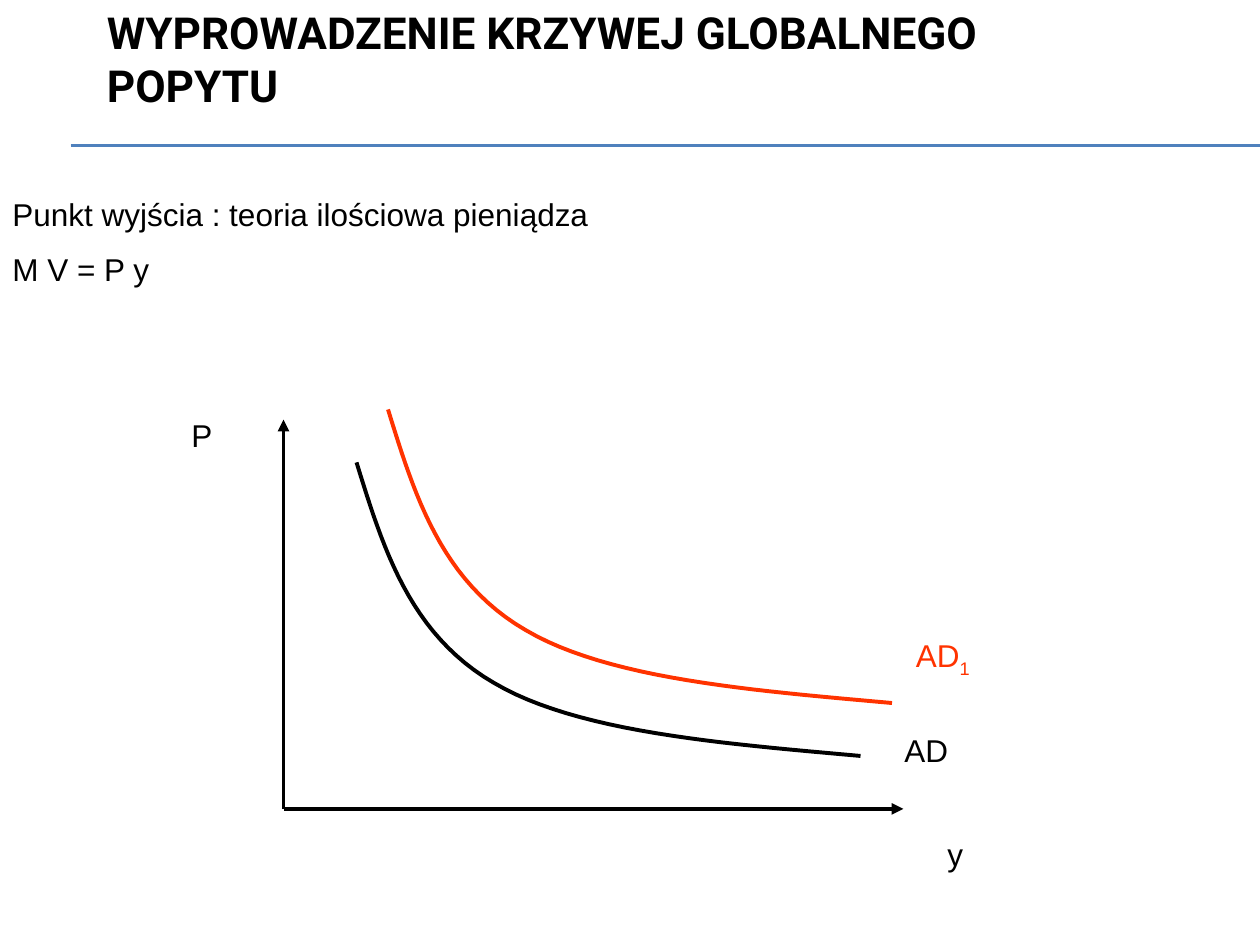
from lxml import etree
from pptx import Presentation
from pptx.dml import color
from pptx.enum import shapes, text
from pptx.oxml import ns
from pptx.util import Inches, Pt

BLACK, RED, BLUE = "000000", "FF3300", "4F81BD"
CURVE = [(0, 0), (0.21, 0.68), (0.42, 1.36), (1.09, 1.75),
         (1.75, 2.14), (2.88, 2.23), (4, 2.33)]
STEPS = 24


def rgb(value):
    """Turn a hex string into a colour."""
    return color.RGBColor.from_string(value)


def add_text(page, box, paragraphs, size=18, font="Arial", bold=False,
             anchor=text.MSO_ANCHOR.TOP):
    """Add a text box of paragraphs, each a list of (words, colour, baseline)."""
    frame = page.shapes.add_textbox(*map(Inches, box)).text_frame
    frame.word_wrap = True
    frame.vertical_anchor = anchor
    for index, spans in enumerate(paragraphs):
        para = frame.add_paragraph() if index else frame.paragraphs[0]
        para.space_before = Pt(10 if index else 0)
        for words, shade, baseline in spans:
            span = para.add_run()
            span.text = words
            span.font.size = Pt(size)
            span.font.name = font
            span.font.bold = bold
            span.font.color.rgb = rgb(shade)
            if baseline:
                span.font._element.set("baseline", str(baseline * 1000))


def add_line(page, start, end, shade, width, arrow=False):
    """Add a straight line, with an arrowhead at its end if wanted."""
    line = page.shapes.add_connector(
        shapes.MSO_CONNECTOR.STRAIGHT, *map(Inches, start + end))
    line.line.color.rgb = rgb(shade)
    line.line.width = Pt(width)
    if arrow:
        outline = line.line._get_or_add_ln()
        etree.SubElement(outline, ns.qn("a:tailEnd"), type="triangle")
    etree.SubElement(line._element.spPr, ns.qn("a:effectLst"))


def bezier(points, t):
    """Return the point at t on a cubic curve."""
    weights = ((1 - t) ** 3, 3 * t * (1 - t) ** 2, 3 * t ** 2 * (1 - t), t ** 3)
    return [sum(w * p[axis] for w, p in zip(weights, points)) for axis in (0, 1)]


def add_demand_curve(page, left, top, shade):
    """Draw a falling demand curve from its top left corner."""
    track = [CURVE[0]] + [bezier(CURVE[first:first + 4], step / STEPS)
                          for first in (0, 3) for step in range(1, STEPS + 1)]
    places = [(Inches(left + x), Inches(top + y)) for x, y in track]
    builder = page.shapes.build_freeform(*places[0])
    builder.add_line_segments(places[1:], close=False)
    curve = builder.convert_to_shape()
    curve.shadow.inherit = False
    curve.fill.background()
    curve.line.color.rgb = rgb(shade)
    curve.line.width = Pt(2.25)


def add_header(page, box):
    """Place the title and the double rule beneath it."""
    left, top, width, height = box
    add_text(page, (left + 0.19, top, 8.5, 0.92),
             [[("WYPROWADZENIE KRZYWEJ GLOBALNEGO POPYTU", BLACK, 0)]],
             25.2, "Roboto", True, text.MSO_ANCHOR.MIDDLE)
    for y in (top + height - 0.01, top + height):
        add_line(page, (left, y), (left + width, y), BLUE, 0.75)


def add_premise(page, box):
    """Place the starting theory and its equation."""
    add_text(page, box, [
        [("Punkt wyjścia : teoria ilościowa pieniądza", BLACK, 0)],
        [("M V = P y", BLACK, 0)]])


def add_demand_graph(page, box):
    """Place the axes, both demand curves and their labels."""
    left, top, width, height = box
    origin = (left, top + height)
    for tip in ((left, top + 0.08), (left + width, top + height)):
        add_line(page, origin, tip, BLACK, 2.25, arrow=True)
    add_demand_curve(page, left + 0.58, top + 0.42, BLACK)
    add_demand_curve(page, left + 0.83, top, RED)
    labels = [
        (-0.83, 0, 0.67, [("P", BLACK, 0)]),
        (5.17, 3.33, 0.67, [("y", BLACK, 0)]),
        (4.83, 2.5, 0.75, [("AD", BLACK, 0)]),
        (4.92, 1.75, 0.83, [("AD", RED, 0), ("1", RED, -25)]),
    ]
    for x, y, span_width, spans in labels:
        add_text(page, (left + x, top + y, span_width, 0.5), [spans])


def main():
    """Build the slide and save it."""
    deck = Presentation()
    deck.slide_width, deck.slide_height = Inches(10), Inches(7.5)
    page = deck.slides.add_slide(deck.slide_layouts[6])
    add_header(page, (0.56, 0, 9.44, 1.16))
    add_premise(page, (0, 1.5, 10, 1.1))
    add_demand_graph(page, (2.25, 3.25, 4.92, 3.17))
    deck.save("out.pptx")


if __name__ == "__main__":
    main()
